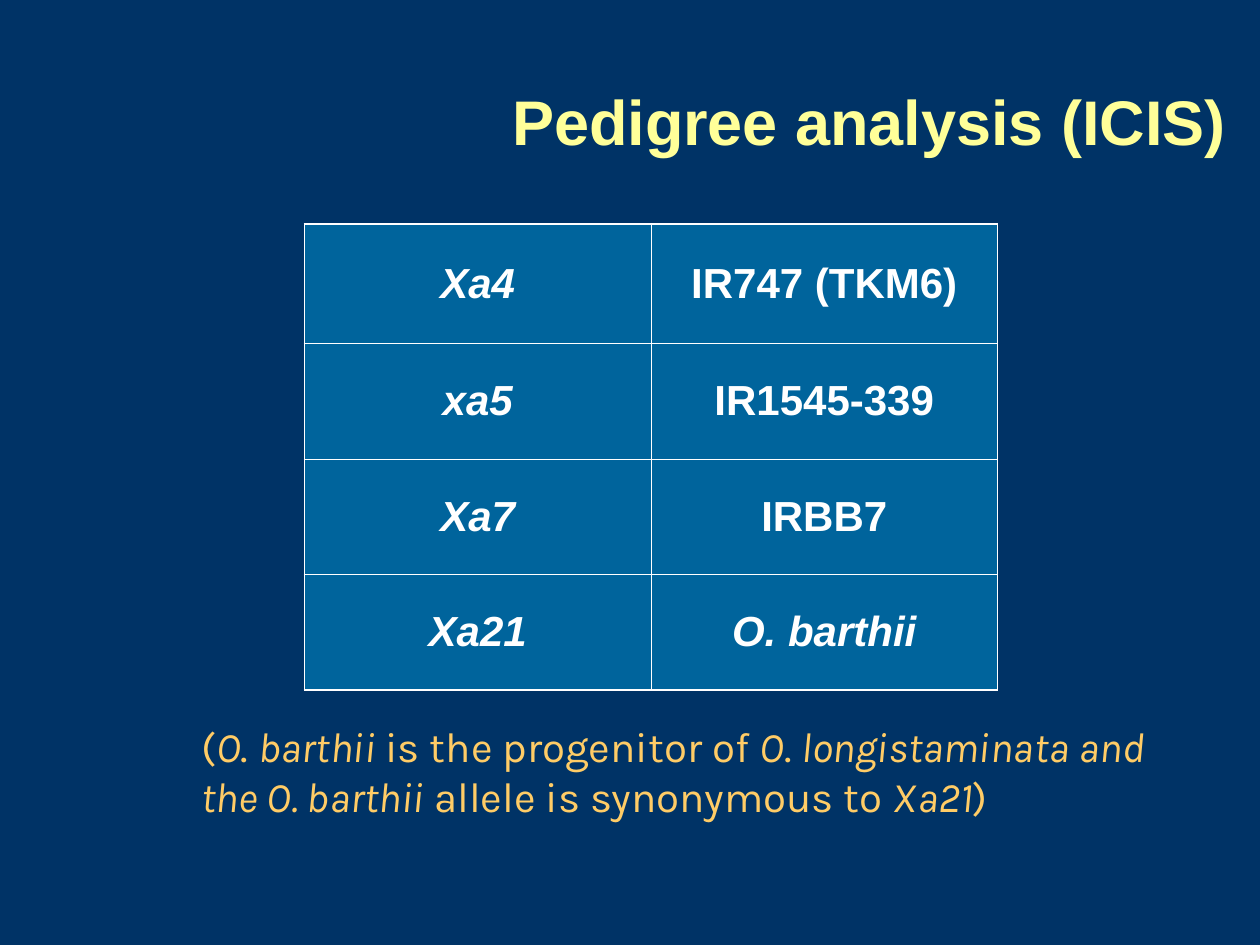
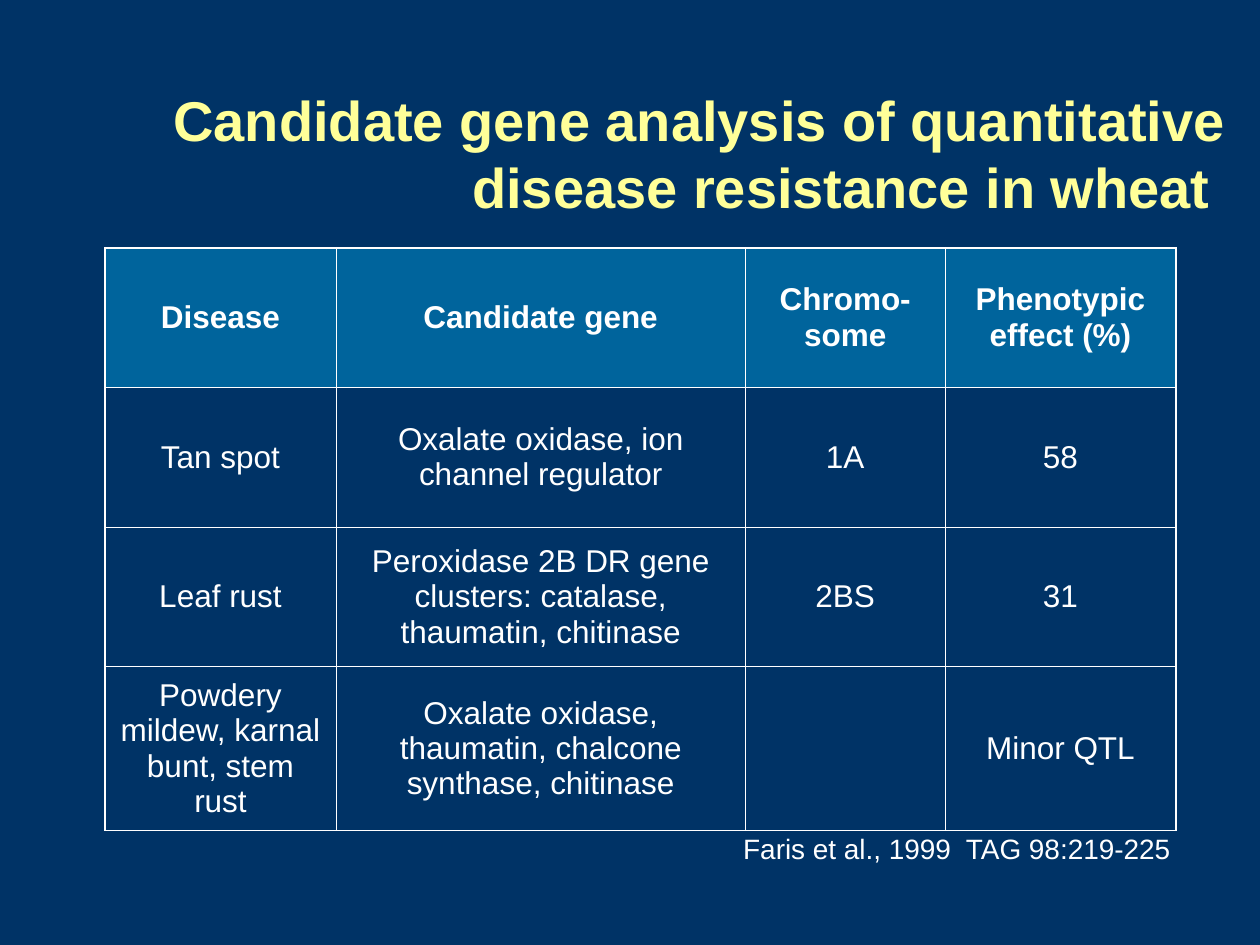
from lxml.etree import SubElement
from pptx import Presentation
from pptx.dml.color import RGBColor
from pptx.enum.text import MSO_ANCHOR, MSO_AUTO_SIZE, PP_ALIGN
from pptx.oxml.ns import qn
from pptx.util import Inches, Pt

COLORS = {
    "background": "003366",
    "cell": "00649C",
    "title": "FFFF99",
    "remark": "FFCC66",
    "light": "FFFFFF",
}
GRID = Inches(10) // 120  # the slide is 120 columns wide and 90 rows high
THIN, THICK = Pt(0.45), Pt(1.08)

TITLE = {"name": "Arial", "bold": True, "color": "title"}
HEADING = {"name": "Arial", "bold": True, "color": "light"}
PLAIN = {"name": "Arial", "bold": False, "color": "light"}
REMARK = {"name": "Karla", "bold": False, "color": "remark"}

SLIDES = [
    {
        "title": "Pedigree analysis (ICIS)",
        "title_size": 36,
        "title_box": (16, 4, 102, 15),
        "table_corner": (29, 21.3),
        "columns": [33, 33],
        "rows": [11.4, 11, 11, 11],
        "heading_rows": 4,
        "cell_size": 24,
        "cells": [
            ["*Xa4*", "IR747 (TKM6)"],
            ["*xa5*", "IR1545-339"],
            ["*Xa7*", "IRBB7"],
            ["*Xa21*", "*O. barthii*"],
        ],
        "note": "(*O*. *barthii* is the progenitor of *O*. *longistaminata and "
                "the O. barthii* allele is synonymous to *Xa21*)",
        "note_box": (18, 68, 95, 10.8),
        "note_size": 24,
        "note_style": REMARK,
        "note_wrap": True,
        "note_anchor": MSO_ANCHOR.MIDDLE,
    },
    {
        "title": "Candidate gene analysis of quantitative "
                 "disease resistance in wheat ",
        "title_size": 32,
        "title_box": (9, 7, 109, 15),
        "table_corner": (10, 23.6),
        "columns": [22, 39, 19, 22],
        "rows": [13.3, 13.3, 13.3, 15.6],
        "heading_rows": 1,
        "cell_size": 18,
        "cells": [
            ["Disease", "Candidate gene", "Chromo-some", "Phenotypic effect (%)"],
            ["Tan spot", "Oxalate oxidase, ion channel regulator", "1A", "58"],
            ["Leaf rust", "Peroxidase 2B DR gene clusters: catalase, "
                          "thaumatin, chitinase", "2BS", "31"],
            ["Powdery mildew, karnal bunt, stem rust",
             "Oxalate oxidase, thaumatin, chalcone synthase, chitinase",
             "", "Minor QTL"],
        ],
        "note": "Faris et al., 1999  TAG 98:219-225",
        "note_box": (69.6, 78.6, 43.3, 4.4),
        "note_size": 16,
        "note_style": PLAIN,
        "note_wrap": False,
        "note_anchor": MSO_ANCHOR.TOP,
    },
]


def write(frame, text, size, style, align):
    """Fill a text frame; parts between asterisks become italic."""
    paragraph = frame.paragraphs[0]
    paragraph.alignment = align
    for index, part in enumerate(text.split("*")):
        if not part:
            continue
        run = paragraph.add_run()
        run.text = part
        font_values = {"name": style["name"], "size": Pt(size),
                       "bold": style["bold"], "italic": index % 2 == 1}
        for attribute, value in font_values.items():
            setattr(run.font, attribute, value)
        run.font.color.rgb = RGBColor.from_string(COLORS[style["color"]])


def draw_borders(cell, widths):
    properties = cell._tc.get_or_add_tcPr()
    for side, width in widths.items():
        line = SubElement(properties, qn(f"a:ln{side}"), w=str(width))
        fill = SubElement(line, qn("a:solidFill"))
        SubElement(fill, qn("a:srgbClr"), val=COLORS["light"])


deck = Presentation()
deck.slide_width, deck.slide_height = 120 * GRID, 90 * GRID
backdrop = deck.slide_master.background.fill
backdrop.solid()
backdrop.fore_color.rgb = RGBColor.from_string(COLORS["background"])

for content in SLIDES:
    slide = deck.slides.add_slide(deck.slide_layouts[5])

    # Note below the table
    note = slide.shapes.add_textbox(*[int(n * GRID) for n in content["note_box"]])
    note_format = {"word_wrap": content["note_wrap"],
                   "vertical_anchor": content["note_anchor"],
                   "auto_size": MSO_AUTO_SIZE.SHAPE_TO_FIT_TEXT}
    for attribute, value in note_format.items():
        setattr(note.text_frame, attribute, value)
    write(note.text_frame, content["note"], content["note_size"],
          content["note_style"], PP_ALIGN.LEFT)

    # Title
    title = slide.shapes.title
    for attribute, value in zip(("left", "top", "width", "height"),
                                content["title_box"]):
        setattr(title, attribute, value * GRID)
    title.text_frame.auto_size = MSO_AUTO_SIZE.NONE
    title.text_frame.vertical_anchor = MSO_ANCHOR.MIDDLE
    write(title.text_frame, content["title"], content["title_size"],
          TITLE, PP_ALIGN.RIGHT)

    # Table with a thick frame and thin inner lines
    columns, rows = content["columns"], content["rows"]
    left, top = content["table_corner"]
    extent = (left, top, sum(columns), sum(rows))
    table = slide.shapes.add_table(len(rows), len(columns),
                                   *[int(n * GRID) for n in extent]).table
    table.first_row = table.horz_banding = False
    for column, width in zip(table.columns, columns):
        column.width = width * GRID
    for row, height in zip(table.rows, rows):
        row.height = int(height * GRID)

    for r, texts in enumerate(content["cells"]):
        is_heading = r < content["heading_rows"]
        for c, text in enumerate(texts):
            cell = table.cell(r, c)
            cell.vertical_anchor = MSO_ANCHOR.MIDDLE
            draw_borders(cell, {
                "L": THICK if c == 0 else THIN,
                "R": THICK if c == len(columns) - 1 else THIN,
                "T": THICK if r == 0 else THIN,
                "B": THICK if r == len(rows) - 1 else THIN,
            })
            if is_heading:
                cell.fill.solid()
                cell.fill.fore_color.rgb = RGBColor.from_string(COLORS["cell"])
            else:
                cell.fill.background()
            write(cell.text_frame, text, content["cell_size"],
                  HEADING if is_heading else PLAIN, PP_ALIGN.CENTER)

deck.save("out.pptx")
